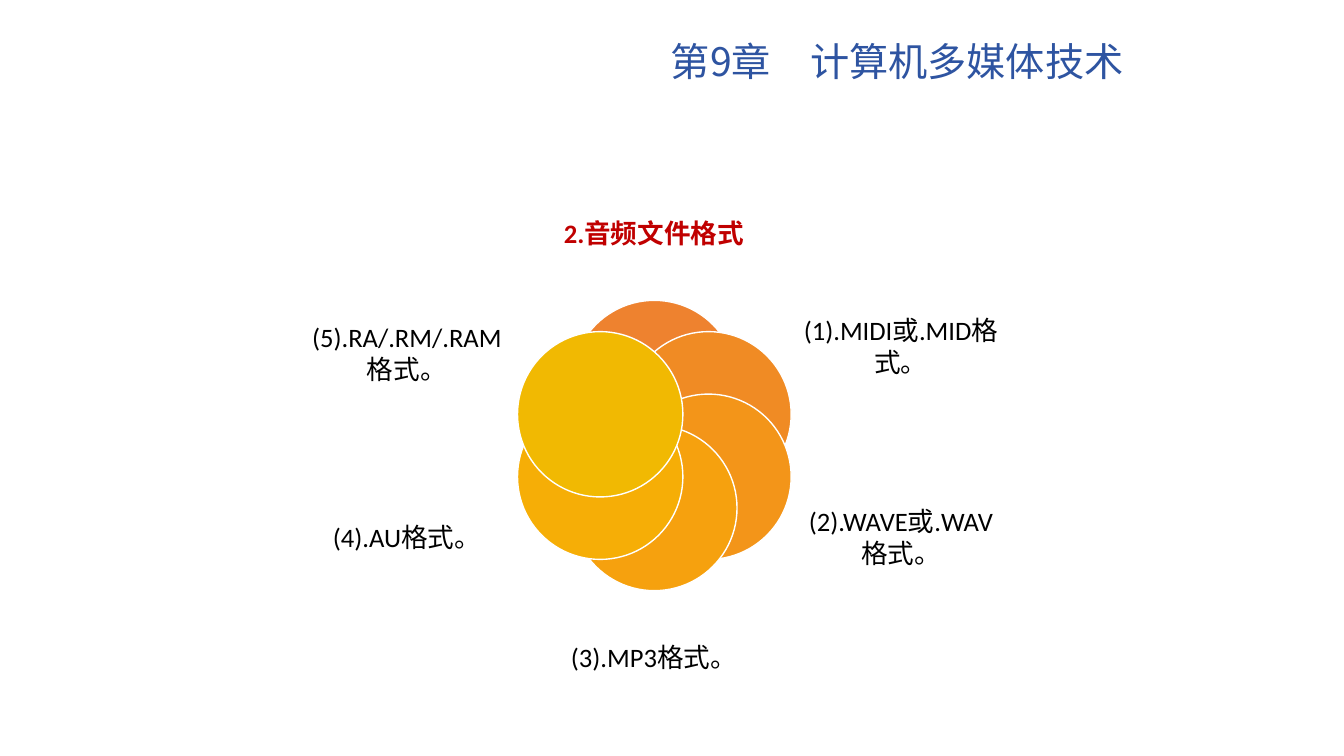
from dataclasses import dataclass
from math import cos, radians, sin

from lxml.etree import SubElement
from pptx import Presentation
from pptx.dml.color import RGBColor
from pptx.enum.lang import MSO_LANGUAGE_ID as Language
from pptx.enum.shapes import MSO_SHAPE as ShapeKind
from pptx.enum.text import MSO_ANCHOR as Anchor, PP_ALIGN as Align
from pptx.oxml.ns import qn
from pptx.util import Inches, Pt


@dataclass(frozen=True)
class Theme:
    title_font: str = "Noto Sans CJK JP"
    body_font: str = "Calibri"
    title_size: int = 28
    body_size: int = 19
    title_color: str = "2E54A1"
    accent: str = "C00000"
    ink: str = "000000"
    outline: str = "FFFFFF"
    petals: tuple = ("EE822F", "F08B24", "F39519", "F6A10E", "F6AE06", "F1B902")


class FormatSlide:
    def __init__(self, presentation, theme):
        self.theme = theme
        self.slide = presentation.slides.add_slide(presentation.slide_layouts[6])

    def text(self, content, box, font_name, size, color, bold=False,
             align=Align.CENTER, anchor=Anchor.MIDDLE, insets=(0, 0, 0, 0), spacing=1.0):
        shape = self.slide.shapes.add_textbox(*map(Inches, box))
        frame = shape.text_frame
        sides = ("margin_left", "margin_top", "margin_right", "margin_bottom")
        frame_format = dict(zip(sides, map(Inches, insets)))
        frame_format.update(word_wrap=True, vertical_anchor=anchor)
        for name, value in frame_format.items():
            setattr(frame, name, value)
        paragraph = frame.paragraphs[0]
        paragraph.alignment = align
        paragraph.line_spacing = spacing
        run = paragraph.add_run()
        run.text = content
        font_format = {"name": font_name, "size": Pt(size), "bold": bold,
                       "language_id": Language.SIMPLIFIED_CHINESE}
        for name, value in font_format.items():
            setattr(run.font, name, value)
        run.font.color.rgb = RGBColor.from_string(color)
        east_asian = SubElement(run._r.get_or_add_rPr(), qn("a:ea"))
        east_asian.set("typeface", font_name)

    def title(self, content, box):
        theme = self.theme
        self.text(content, box, theme.title_font, theme.title_size, theme.title_color,
                  align=Align.RIGHT, anchor=Anchor.TOP,
                  insets=(0.1, 0.12, 0.1, 0.05), spacing=0.9)

    def label(self, content, box, color, bold=False):
        self.text(content, box, self.theme.body_font, self.theme.body_size, color, bold)

    def petal(self, center_x, center_y, diameter, color):
        left, top = center_x - diameter / 2, center_y - diameter / 2
        shape = self.slide.shapes.add_shape(
            ShapeKind.OVAL, *map(Inches, (left, top, diameter, diameter)))
        shape.shadow.inherit = False
        shape.fill.solid()
        shape.fill.fore_color.rgb = RGBColor.from_string(color)
        shape.line.color.rgb = RGBColor.from_string(self.theme.outline)
        shape.line.width = Pt(1)

    def flower(self, center_x, center_y, radius, diameter):
        colors = self.theme.petals
        for index, color in enumerate(colors):
            angle = radians(index * 360 / len(colors))
            self.petal(center_x + radius * sin(angle), center_y - radius * cos(angle),
                       diameter, color)


def main():
    presentation = Presentation()
    presentation.slide_width = Inches(13.33)
    presentation.slide_height = Inches(7.5)
    theme = Theme()
    page = FormatSlide(presentation, theme)

    page.title("第9章　计算机多媒体技术", (2.17, 0.3, 9.07, 1.25))
    page.flower(6.49, 4.42, 0.62, 1.64)
    page.label("2.音频文件格式", (5.46, 1.75, 2.05, 1.12), theme.accent, bold=True)

    left, right, upper, lower = 3.06, 7.96, 2.82, 4.64
    width, height = 1.95, 1.37
    format_labels = (
        ("(1).MIDI或.MID格式。", (right, upper, width, 1.23)),
        ("(2).WAVE或.WAV格式。", (right, lower, width, height)),
        ("(3).MP3格式。", (5.46, 5.96, 2.05, 1.12)),
        ("(4).AU格式。", (left, lower, width, height)),
        ("(5).RA/.RM/.RAM格式。", (left, upper, width, height)),
    )
    for content, box in format_labels:
        page.label(content, box, theme.ink)

    presentation.save("out.pptx")


if __name__ == "__main__":
    main()
